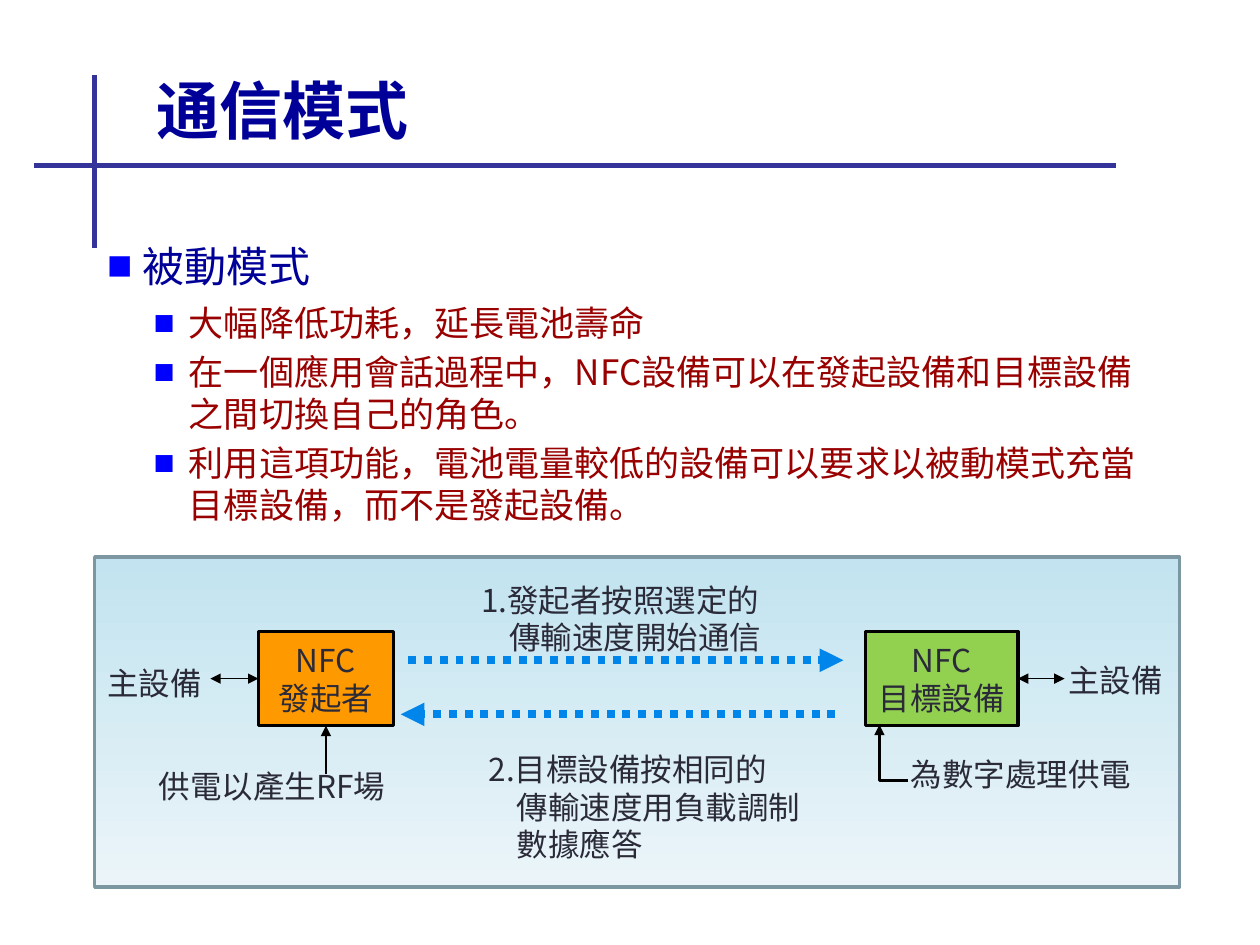
from lxml import etree
from pptx import Presentation, util as u
from pptx.dml.color import RGBColor
from pptx.enum import dml, shapes, text
from pptx.oxml.ns import qn

Cm, Pt = u.Cm, u.Pt
FONT = "Noto Sans CJK TC"
COLORS = {
    "rule": "333399", "title": "000099", "bullet": "0000FF", "body": "990000",
    "ink": "2A2A39", "black": "000000", "dots": "0086EA", "frame": "7C97A1",
    "sky": "C2E3EF", "pale": "EBF5F9", "initiator": "FF9900", "target": "92D050",
}
RGB = {k: RGBColor.from_string(v) for k, v in COLORS.items()}


def write(sp, lines, size, color, bold=False, indent=0, **frame):
    """Fill a shape with paragraphs; lines after the first take the indent."""
    tf = sp.text_frame
    for k, v in {"word_wrap": True, **frame}.items():
        setattr(tf, k, v)
    for i, line in enumerate(lines):
        p = tf.paragraphs[0] if i == 0 else tf.add_paragraph()
        if i and indent:
            p._p.get_or_add_pPr().set("marL", str(Cm(indent)))
        r = p.add_run()
        r.text = line
        for k, v in {"name": FONT, "size": Pt(size), "bold": bold}.items():
            setattr(r.font, k, v)
        r.font.color.rgb = RGB[color]
        etree.SubElement(r._r.get_or_add_rPr(), qn("a:ea")).set("typeface", FONT)
    return tf


def style_line(sp, color, width, dash=None, ends=()):
    """Style a line without shadow; ends holds headEnd and/or tailEnd."""
    sp.line.color.rgb = RGB[color]
    sp.line.width = Pt(width)
    if dash:
        sp.line.dash_style = dash
    for end in ends:
        etree.SubElement(sp.line._get_or_add_ln(), qn("a:" + end)).set("type", "triangle")
    if sp._element.spPr.find(qn("a:effectLst")) is None:
        etree.SubElement(sp._element.spPr, qn("a:effectLst"))


prs = Presentation()
prs.slide_width, prs.slide_height = Cm(25.4), Cm(19.05)
s = prs.slides.add_slide(prs.slide_layouts[6])
STRAIGHT, RECT = shapes.MSO_CONNECTOR.STRAIGHT, shapes.MSO_SHAPE.RECTANGLE
MIDDLE = text.MSO_ANCHOR.MIDDLE

# Crossed rules and title
for ends in [(0.69, 3.33, 22.5, 3.33), (1.91, 1.52, 1.91, 5)]:
    style_line(s.shapes.add_connector(STRAIGHT, *map(Cm, ends)), "rule", 3)
title = s.shapes.add_textbox(Cm(2.9), Cm(0.91), Cm(20.6), Cm(2.59))
write(title, ["通信模式"], 36, "title", bold=True, vertical_anchor=MIDDLE)

# Bulleted text
body = s.shapes.add_textbox(Cm(1.91), Cm(4.72), Cm(21.59), Cm(9))
tf = write(body, [
    "被動模式",
    "大幅降低功耗，延長電池壽命",
    "在一個應用會話過程中，NFC設備可以在發起設備和目標設備之間切換自己的角色。",
    "利用這項功能，電池電量較低的設備可以要求以被動模式充當目標設備，而不是發起設備。",
], 20, "body")
for i, p in enumerate(tf.paragraphs):
    pPr = p._p.get_or_add_pPr()
    pPr.set("marL", str(Cm(1.65 if i else 0.71)))
    pPr.set("indent", str(Cm(-0.71)))
    clr = etree.SubElement(pPr, qn("a:buClr"))
    etree.SubElement(clr, qn("a:srgbClr")).set("val", COLORS["bullet"])
    etree.SubElement(pPr, qn("a:buFont")).set("typeface", "Arial")
    etree.SubElement(pPr, qn("a:buChar")).set("char", "■")
    if i:
        p.level = 1
        p.space_before = Pt(4)
heading = tf.paragraphs[0]
heading.space_after = Pt(2.4)
heading.runs[0].font.size = Pt(24)
heading.runs[0].font.color.rgb = RGB["title"]

# Diagram panel
panel = s.shapes.add_shape(RECT, Cm(1.91), Cm(11.23), Cm(21.87), Cm(6.65))
panel.shadow.inherit = False
panel.fill.gradient()
panel.fill.gradient_angle = 270
for stop, color in zip(panel.fill.gradient_stops, ("sky", "pale")):
    stop.color.rgb = RGB[color]
style_line(panel, "frame", 2)

# The two devices
devices = {}
for name, left, width, label in [("initiator", 5.21, 2.72, "發起者"),
                                 ("target", 17.45, 3.07, "目標設備")]:
    sp = s.shapes.add_shape(RECT, Cm(left), Cm(12.73), Cm(width), Cm(1.9))
    sp.shadow.inherit = False
    sp.fill.solid()
    sp.fill.fore_color.rgb = RGB[name]
    style_line(sp, "black", 2)
    tf = write(sp, ["NFC", label], 18, "ink", vertical_anchor=MIDDLE,
               margin_left=Cm(0.1), margin_right=Cm(0.1))
    for p in tf.paragraphs:
        p.alignment = text.PP_ALIGN.CENTER
    devices[name] = sp

# Dotted messages between the devices
for x1, x2, y in [(8.23, 17, 13.31), (16.84, 8.08, 14.4)]:
    message = s.shapes.add_connector(STRAIGHT, Cm(x1), Cm(y), Cm(x2), Cm(y))
    style_line(message, "dots", 4.5, dml.MSO_LINE.ROUND_DOT, ["tailEnd"])

# Labels
for left, top, width, height, lines in [
    (1.91, 13.26, 2.72, 1.02, ["主設備"]),
    (2.95, 15.34, 5.28, 1.02, ["供電以產生RF場"]),
    (9.45, 11.58, 6.3, 1.8, ["1.發起者按照選定的", "傳輸速度開始通信"]),
    (21.29, 13.21, 2.72, 1.02, ["主設備"]),
    (9.6, 14.99, 7.11, 2.57, ["2.目標設備按相同的", "傳輸速度用負載調制", "數據應答"]),
    (18.11, 15.09, 5.28, 1.02, ["為數字處理供電"]),
]:
    label = s.shapes.add_textbox(Cm(left), Cm(top), Cm(width), Cm(height))
    write(label, lines, 18, "ink", indent=0.57,
          auto_size=text.MSO_AUTO_SIZE.SHAPE_TO_FIT_TEXT)

# Host and power arrows, each starting at the side of a device
for name, side, x, y, width, ends in [
    ("target", 3, 21.46, 13.68, 0.75, ["headEnd", "tailEnd"]),
    ("initiator", 1, 4.24, 13.68, 0.75, ["headEnd", "tailEnd"]),
    ("initiator", 2, 6.57, 15.6, 1.5, ["headEnd"]),
]:
    arrow = s.shapes.add_connector(STRAIGHT, Cm(x), Cm(y), Cm(x), Cm(y))
    arrow.begin_connect(devices[name], side)
    style_line(arrow, "black", width, ends=ends)

# Bent power arrow into the target's underside
path = s.shapes.build_freeform(Cm(18.31), Cm(15.74))
path.add_line_segments([(Cm(17.73), Cm(15.74)), (Cm(17.73), Cm(14.61))], close=False)
bent = path.convert_to_shape()
bent.shadow.inherit = False
bent.fill.background()
style_line(bent, "black", 1.5, ends=["tailEnd"])

prs.save("out.pptx")
